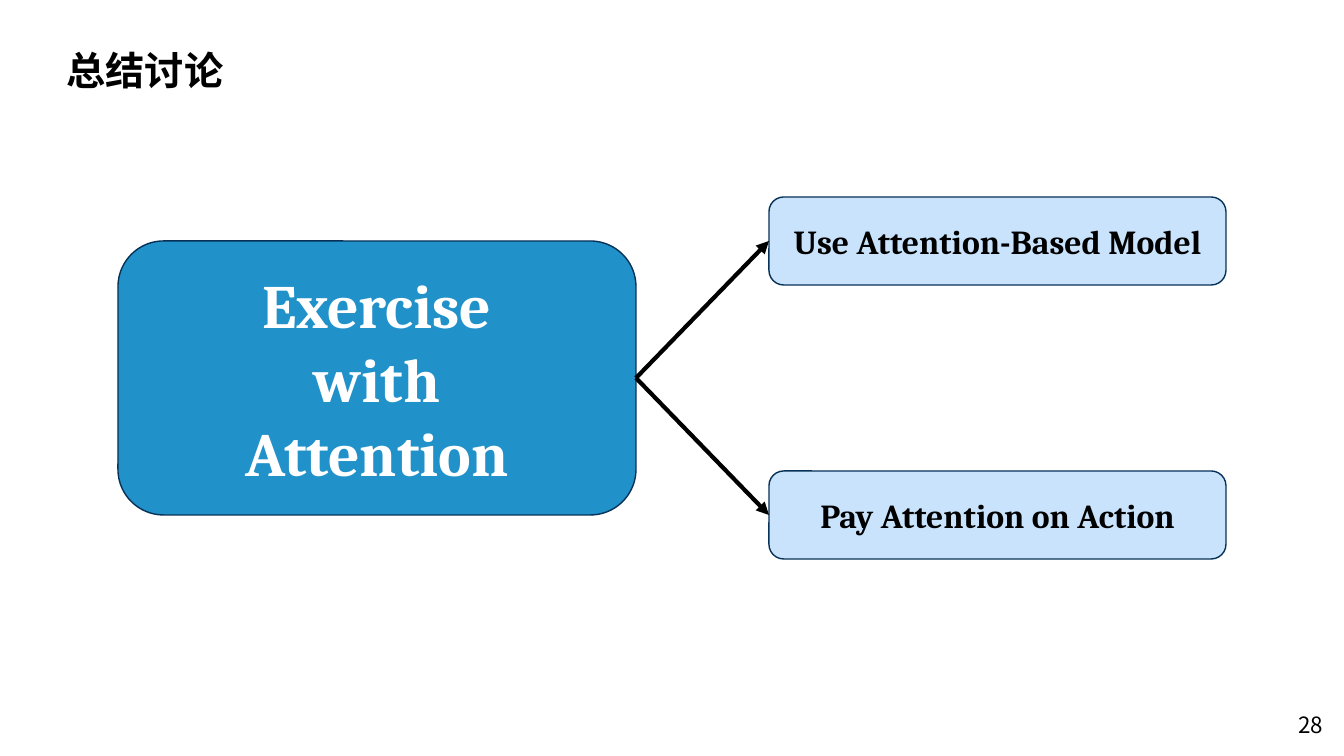
from lxml import etree
from pptx import Presentation
from pptx.enum import shapes, text
from pptx.dml.color import RGBColor
from pptx.oxml import ns
from pptx.util import Pt

PX = 914400 / 100.8
COLORS = {"ink": "000000", "white": "FFFFFF", "blue": "2191C9", "pale": "C8E3FB", "navy": "073157"}
SANS, SERIF = "Noto Sans CJK SC", "Cambria"


def px(*values):
    return [round(v * PX) for v in values]


def write(sp, lines, size, font=SERIF, color="ink", bold=True, align="CENTER", anchor="MIDDLE", wrap=True):
    tf = sp.text_frame
    tf.word_wrap = wrap
    tf.auto_size = text.MSO_AUTO_SIZE.NONE
    tf.vertical_anchor = getattr(text.MSO_ANCHOR, anchor)
    for i, line in enumerate(lines):
        p = tf.add_paragraph() if i else tf.paragraphs[0]
        p.alignment = getattr(text.PP_ALIGN, align)
        r = p.add_run()
        r.text = line
        r.font.size, r.font.bold, r.font.name = Pt(size), bold, font
        r.font.color.rgb = RGBColor.from_string(COLORS[color])
        etree.SubElement(r.font._element, ns.qn("a:ea"), typeface=font)


prs = Presentation()
prs.slide_width, prs.slide_height = px(1344, 756)
s = prs.slides.add_slide(prs.slide_layouts[5])

title = s.shapes.title
title.left, title.top, title.width, title.height = px(56, 41, 178, 57)
write(title, ["总结讨论"], 28, font=SANS, anchor="TOP", wrap=False)

number = s.shapes.add_textbox(*px(1031, 705, 302, 40))
write(number, ["28"], 16, font=SANS, bold=False, align="RIGHT")

boxes = []
for lines, place, fill, color, size in [
    (["Exercise", "with", "Attention"], (118, 241, 518, 274), "blue", "white", 44),
    (["Use Attention-Based Model"], (769, 197, 457, 88), "pale", "ink", 24),
    (["Pay Attention on Action"], (769, 471, 457, 88), "pale", "ink", 24),
]:
    sp = s.shapes.add_shape(shapes.MSO_SHAPE.ROUNDED_RECTANGLE, *px(*place))
    sp.shadow.inherit = False
    sp.fill.solid()
    sp.fill.fore_color.rgb = RGBColor.from_string(COLORS[fill])
    sp.line.color.rgb = RGBColor.from_string(COLORS["navy"])
    sp.line.width = Pt(1)
    write(sp, lines, size, color=color)
    boxes.append(sp)

main, *branches = boxes
for branch in branches:
    arrow = s.shapes.add_connector(shapes.MSO_CONNECTOR.STRAIGHT, 0, 0, 0, 0)
    arrow.begin_connect(main, 3)
    arrow.end_connect(branch, 1)
    arrow.line.color.rgb = RGBColor.from_string(COLORS["ink"])
    arrow.line.width = Pt(3)
    etree.SubElement(arrow.line._get_or_add_ln(), ns.qn("a:tailEnd"), type="triangle")
    etree.SubElement(arrow._element.spPr, ns.qn("a:effectLst"))

prs.save("out.pptx")
